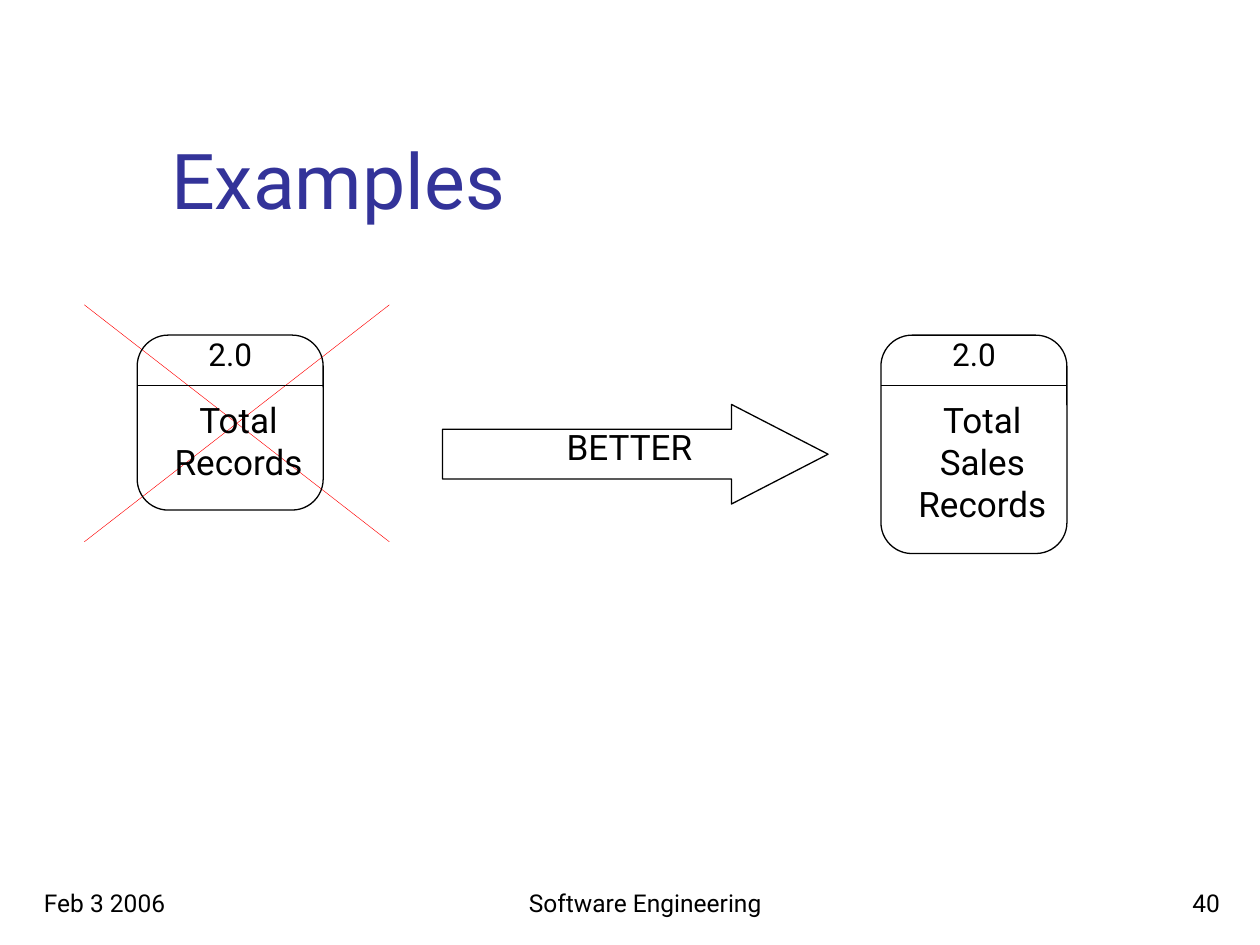
from lxml import etree
from pptx import Presentation
from pptx.dml.color import RGBColor
from pptx.enum.shapes import MSO_CONNECTOR, MSO_SHAPE
from pptx.enum.text import MSO_ANCHOR, PP_ALIGN
from pptx.oxml.ns import qn
from pptx.util import Pt

LEFT, CENTER, RIGHT = PP_ALIGN.LEFT, PP_ALIGN.CENTER, PP_ALIGN.RIGHT
TOP, BOTTOM = MSO_ANCHOR.TOP, MSO_ANCHOR.BOTTOM
STRAIGHT = MSO_CONNECTOR.STRAIGHT
ROUNDED, ARROW = MSO_SHAPE.ROUNDED_RECTANGLE, MSO_SHAPE.RIGHT_ARROW

FONT = "Roboto"
COLORS = {"title": "333399", "ink": "000000", "cross": "FF0000"}
CARD_TOP, CARD_WIDTH = 191.5, 106.3


def color(name):
    """Return the named colour."""
    return RGBColor.from_string(COLORS[name])


def add_text(slide, text, left, top, width, height, *, size, ink="ink",
             align=CENTER, anchor=TOP):
    """Add a text box with one paragraph per line of text."""
    frame = slide.shapes.add_textbox(Pt(left), Pt(top), Pt(width), Pt(height)).text_frame
    frame.word_wrap = True
    frame.vertical_anchor = anchor
    frame.text = text
    for paragraph in frame.paragraphs:
        paragraph.alignment = align
        paragraph.font.name = FONT
        paragraph.font.size = Pt(size)
        paragraph.font.color.rgb = color(ink)


def add_line(slide, start, end, ink="ink", weight=0.75):
    """Add a straight line between two points."""
    line = slide.shapes.add_connector(STRAIGHT, *map(Pt, (*start, *end)))
    line.line.color.rgb = color(ink)
    line.line.width = Pt(weight)
    etree.SubElement(line.element.spPr, qn("a:effectLst"))


def add_outline(slide, kind, left, top, width, height, adjustments):
    """Add an unfilled outlined preset shape."""
    shape = slide.shapes.add_shape(kind, Pt(left), Pt(top), Pt(width), Pt(height))
    for index, value in enumerate(adjustments):
        shape.adjustments[index] = value
    shape.shadow.inherit = False
    shape.fill.background()
    shape.line.color.rgb = color("ink")
    shape.line.width = Pt(0.75)


def add_process(slide, left, height, number, name):
    """Add a process card with a number above a divider and a name below."""
    divider = CARD_TOP + 28.8
    radius = 17.75
    add_outline(slide, ROUNDED, left, CARD_TOP, CARD_WIDTH, height,
                [radius / min(CARD_WIDTH, height)])
    add_line(slide, (left, divider), (left + CARD_WIDTH, divider))
    add_text(slide, number, left + 29.8, CARD_TOP - 3.6, 46.8, 34.6, size=18)
    add_text(slide, name, left + 7.2, divider + 3.6, 101.5, height - 30, size=20)


def add_cross(slide, left, top, right, bottom):
    """Add two crossing diagonals."""
    add_line(slide, (left, top), (right, bottom), "cross", 0.25)
    add_line(slide, (left, bottom), (right, top), "cross", 0.25)


def add_footer(slide, text, left, width, align):
    """Add one footer entry."""
    add_text(slide, text, left, 491.8, width, 36, size=14, align=align, anchor=BOTTOM)


def main():
    """Build and save the slide."""
    presentation = Presentation()
    presentation.slide_width, presentation.slide_height = Pt(720), Pt(540)
    slide = presentation.slides.add_slide(presentation.slide_layouts[6])

    add_text(slide, "Examples", 90.7, 16.6, 613.4, 115.2, size=44, ink="title",
             align=LEFT, anchor=BOTTOM)
    add_cross(slide, 48.2, 174.2, 222.5, 309.6)
    add_process(slide, 78.4, 100, "2.0", "Total\nRecords")
    add_process(slide, 503.4, 124.8, "2.0", "Total\nSales\nRecords")
    add_outline(slide, ARROW, 252.9, 231.1, 220.3, 56.9, [0.5, 0.97])
    add_text(slide, "BETTER", 302.4, 239.8, 114.5, 37.4, size=20)

    add_footer(slide, "Software Engineering", 221.8, 293.8, CENTER)
    add_footer(slide, "40", 554.4, 149.8, RIGHT)
    add_footer(slide, "Feb 3 2006", 18, 149.8, LEFT)
    presentation.save("out.pptx")


if __name__ == "__main__":
    main()
